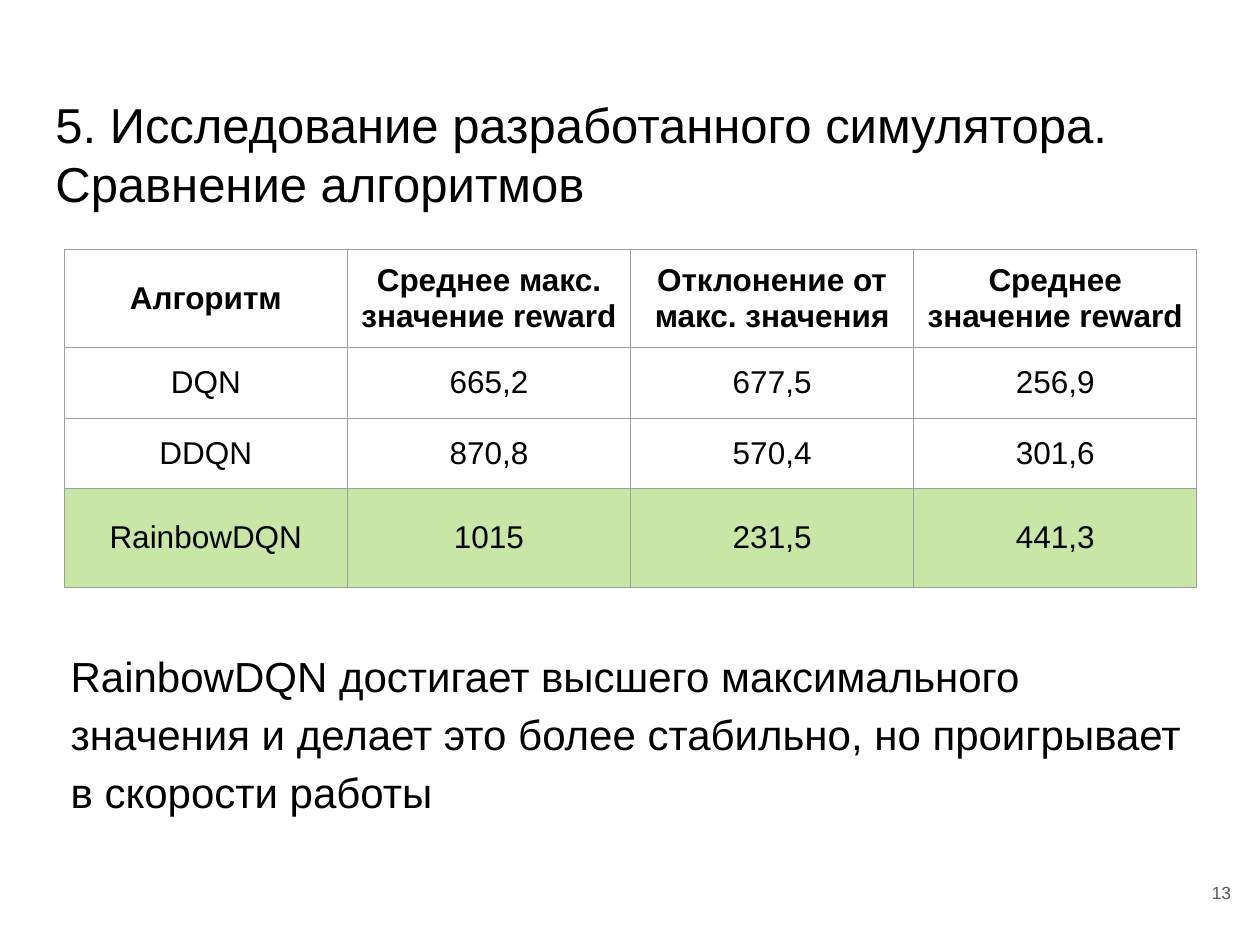
from lxml import etree
from pptx import Presentation
from pptx.dml.color import RGBColor
from pptx.enum import text as t
from pptx.oxml import ns
from pptx.util import Inches, Pt

BLACK = RGBColor(0x00, 0x00, 0x00)
GREY = RGBColor(0x59, 0x59, 0x59)
RULE = RGBColor(0x9E, 0x9E, 0x9E)
GREEN = RGBColor(0x92, 0xD0, 0x50)
LEFT, MID, RIGHT = t.PP_ALIGN.LEFT, t.PP_ALIGN.CENTER, t.PP_ALIGN.RIGHT

ROWS = [
    ["Алгоритм", "Среднее макс. значение reward",
     "Отклонение от макс. значения", "Среднее значение reward"],
    ["DQN", "665,2", "677,5", "256,9"],
    ["DDQN", "870,8", "570,4", "301,6"],
    ["RainbowDQN", "1015", "231,5", "441,3"],
]
HEIGHTS = [0.78, 0.56, 0.56, 0.78]


def write(frame, words, size, color=BLACK, bold=False, align=LEFT, line=1.0):
    """Put one formatted paragraph in a text frame and return it."""
    frame.word_wrap = True
    para = frame.paragraphs[0]
    para.alignment, para.line_spacing = align, line
    para.space_before = para.space_after = Pt(0)
    run = para.add_run()
    run.text = words
    font = run.font
    font.name, font.size, font.bold = "Arial", Pt(size), bold
    font.color.rgb = color
    return para


def place(shape, box, anchor=t.MSO_ANCHOR.TOP):
    """Move a text shape to a box, with even insets, and return its frame."""
    shape.left, shape.top, shape.width, shape.height = map(Inches, box)
    frame = shape.text_frame
    frame.auto_size = t.MSO_AUTO_SIZE.NONE
    frame.vertical_anchor = anchor
    for side in ("left", "top", "right", "bottom"):
        setattr(frame, f"margin_{side}", Inches(0.1))
    return frame


def add_body(shape, box, words):
    """Fill the body placeholder with an unbulleted conclusion."""
    para = write(place(shape, box), words, 24, line=1.15)
    props = para._p.get_or_add_pPr()
    props.set("marL", str(Inches(0.12)))
    props.set("indent", "0")
    etree.SubElement(props, ns.qn("a:buNone"))


def add_edges(cell):
    """Draw a thin line on every side of a cell."""
    props = cell._tc.get_or_add_tcPr()
    for place_no, side in enumerate(("lnL", "lnR", "lnT", "lnB")):
        line = etree.Element(ns.qn(f"a:{side}"), w=str(Pt(0.75)))
        fill = etree.SubElement(line, ns.qn("a:solidFill"))
        etree.SubElement(fill, ns.qn("a:srgbClr"), val=str(RULE))
        props.insert(place_no, line)


def tint(cell):
    """Fill a cell with half-transparent green."""
    cell.fill.solid()
    cell.fill.fore_color.rgb = GREEN
    color = cell._tc.tcPr.find(".//" + ns.qn("a:srgbClr"))
    etree.SubElement(color, ns.qn("a:alpha"), val="50000")


def add_scores(slide, box):
    """Add the table of results with the best row marked."""
    count = len(ROWS[0])
    table = slide.shapes.add_table(len(ROWS), count, *map(Inches, box)).table
    table.first_row = table.horz_banding = False
    for col in table.columns:
        col.width = Inches(box[2] / count)
    for r, (words, high) in enumerate(zip(ROWS, HEIGHTS)):
        table.rows[r].height = Inches(high)
        for c, word in enumerate(words):
            cell = table.cell(r, c)
            cell.vertical_anchor = t.MSO_ANCHOR.MIDDLE
            write(cell.text_frame, word, 18, bold=r == 0, align=MID)
            if r == len(ROWS) - 1:
                tint(cell)
            else:
                cell.fill.background()
            add_edges(cell)


def add_number(slide, box, words):
    """Add the page number."""
    shape = slide.shapes.add_textbox(*map(Inches, box))
    frame = place(shape, box, t.MSO_ANCHOR.MIDDLE)
    write(frame, words, 10, color=GREY, align=RIGHT)


def main():
    """Build the slide and save it."""
    deck = Presentation()
    deck.slide_width, deck.slide_height = Inches(10), Inches(7.5)
    slide = deck.slides.add_slide(deck.slide_layouts[1])
    title, body = slide.placeholders
    write(place(title, (0.34, 0.65, 9.32, 0.83)),
          "5. Исследование разработанного симулятора. Сравнение алгоритмов", 28)
    add_body(body, (0.34, 5, 9.32, 1.42),
             "RainbowDQN достигает высшего максимального значения и делает "
             "это более стабильно, но проигрывает в скорости работы")
    add_number(slide, (9.27, 6.8, 0.6, 0.57), "13")
    add_scores(slide, (0.51, 1.98, 8.99, sum(HEIGHTS)))
    deck.save("out.pptx")


if __name__ == "__main__":
    main()
